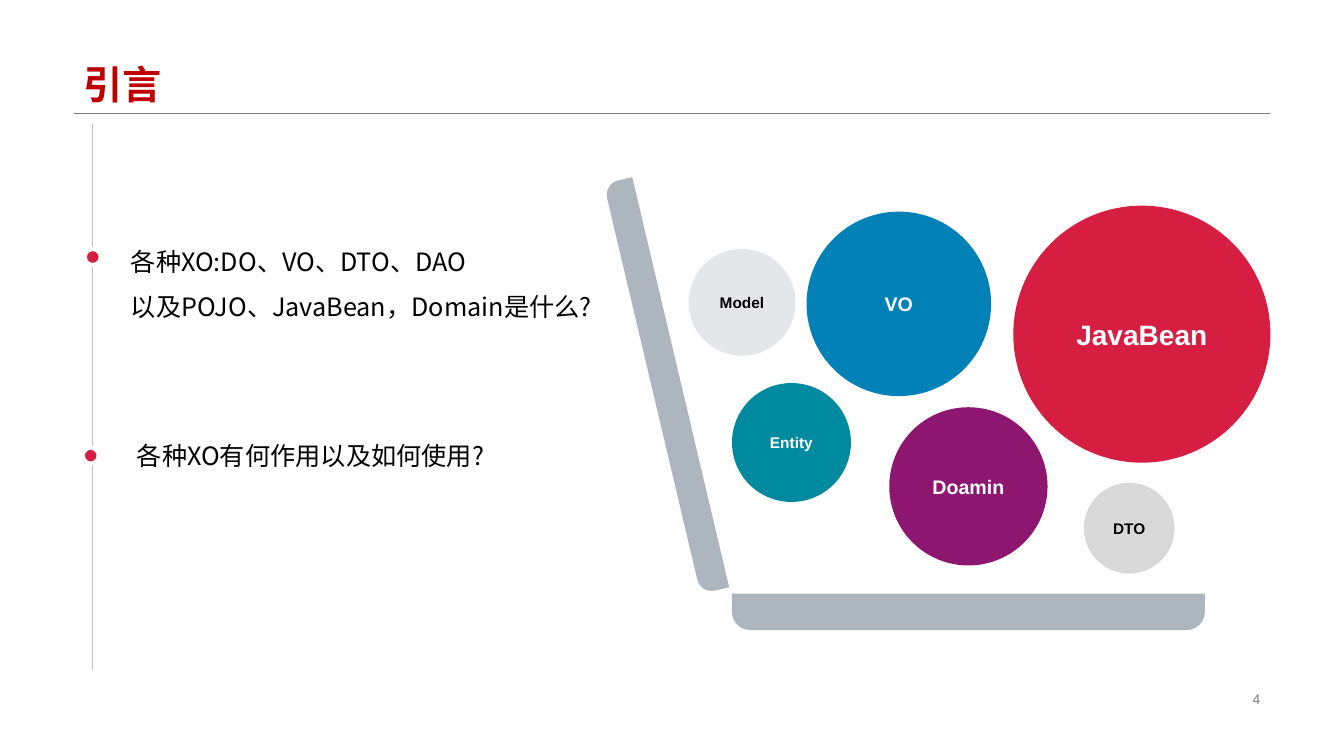
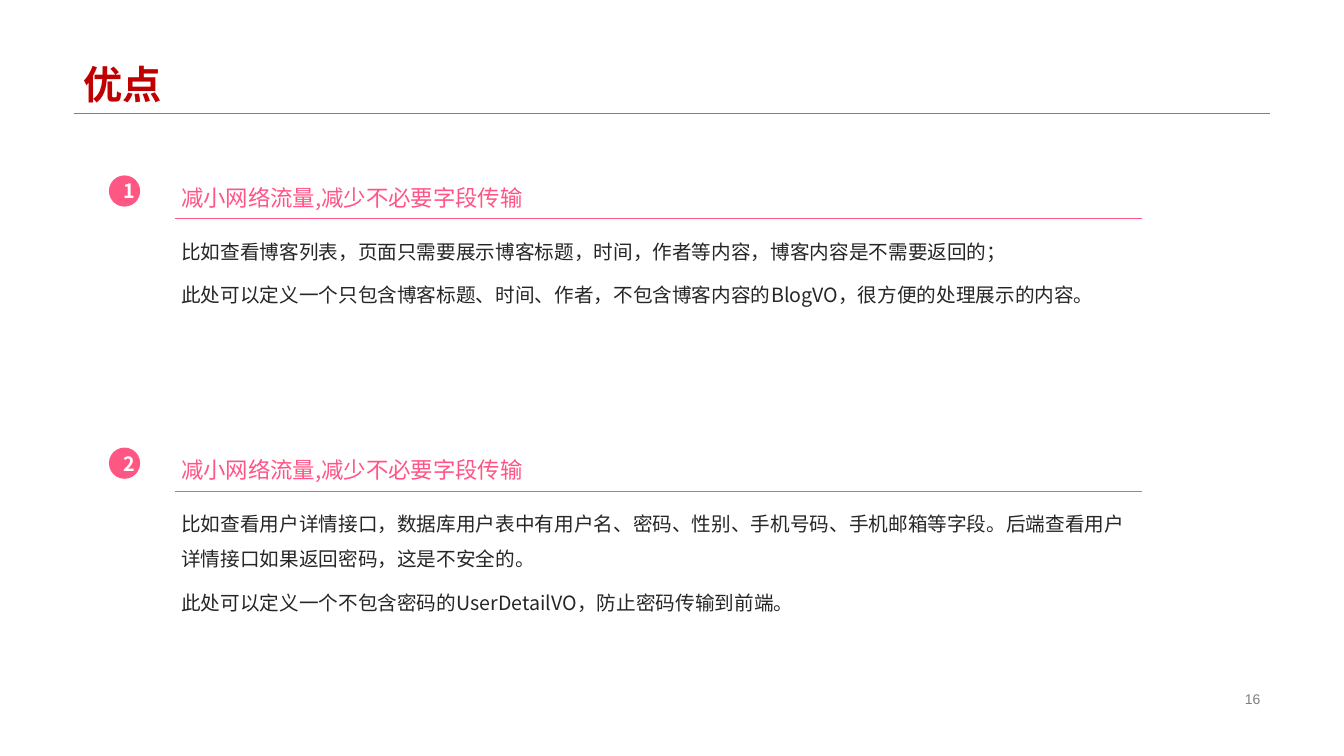
from pptx import Presentation
from pptx.dml.color import RGBColor
from pptx.enum.shapes import MSO_CONNECTOR, MSO_SHAPE
from pptx.enum.text import MSO_ANCHOR, MSO_AUTO_SIZE, PP_ALIGN
from pptx.oxml.ns import qn
from pptx.util import Inches, Pt
from lxml.etree import SubElement

COLORS = {
    "title": "C00000", "grey": "808080", "rail": "BFBFBF", "tray": "ADB5BF",
    "teal": "008A9F", "purple": "8C1670", "blue": "0181B5", "red": "D61E42",
    "silver": "D9D9D9", "mist": "E4E6EA", "pink": "FF5783",
    "heading": "FF5485", "body": "262626", "black": "000000", "white": "FFFFFF",
}
CJK, LATIN = "Noto Sans CJK SC", "Arial"
LEFT, RIGHT, RULE_Y = 0.73, 12.6, 1.12

QUESTIONS = [
    ["各种XO:DO、VO、DTO、DAO", "以及POJO、JavaBean，Domain是什么?"],
    ["各种XO有何作用以及如何使用?"],
]
# label, left, top, diameter, fill, text colour, text size
BUBBLES = [
    ("Entity", 7.26, 3.8, 1.18, "teal", "white", 11),
    ("Doamin", 8.82, 4.04, 1.57, "purple", "white", 14),
    ("VO", 8, 2.1, 1.83, "blue", "white", 14),
    ("JavaBean", 10.05, 2.04, 2.55, "red", "white", 20),
    ("DTO", 10.75, 4.79, 0.9, "silver", "black", 11),
    ("Model", 6.83, 2.47, 1.06, "mist", "black", 11),
]
ADVANTAGES = [
    ("减小网络流量,减少不必要字段传输", 0.85, [
        "比如查看博客列表，页面只需要展示博客标题，时间，作者等内容，博客内容是不需要返回的；",
        "此处可以定义一个只包含博客标题、时间、作者，不包含博客内容的BlogVO，很方便的处理展示的内容。",
    ]),
    ("减小网络流量,减少不必要字段传输", 1.21, [
        "比如查看用户详情接口，数据库用户表中有用户名、密码、性别、手机号码、手机邮箱等字段。"
        "后端查看用户详情接口如果返回密码，这是不安全的。",
        "此处可以定义一个不包含密码的UserDetailVO，防止密码传输到前端。",
    ]),
]


def rgb(name):
    return RGBColor.from_string(COLORS[name])


def write(shape, lines, size, color, font=CJK, bold=False, align=PP_ALIGN.LEFT,
          spacing=1.0, gap=0, anchor=MSO_ANCHOR.TOP, wrap=True):
    """Fill a shape with paragraphs of one style; gap is the points between them."""
    frame = shape.text_frame
    frame.text = "\n".join(lines)
    frame.word_wrap = wrap
    frame.auto_size = MSO_AUTO_SIZE.NONE
    frame.vertical_anchor = anchor
    for index, paragraph in enumerate(frame.paragraphs):
        paragraph.alignment = align
        paragraph.line_spacing = spacing
        paragraph.space_before = Pt(gap if index else 0)
        for run in paragraph.runs:
            run.font.size, run.font.bold, run.font.name = Pt(size), bold, font
            run.font.color.rgb = rgb(color)
            SubElement(run.font._element, qn("a:ea"), typeface=font)


def add_text(slide, left, top, width, height, lines, size, color, **style):
    box = slide.shapes.add_textbox(Inches(left), Inches(top), Inches(width), Inches(height))
    write(box, lines, size, color, **style)


def add_line(slide, x1, y1, x2, y2, color, weight):
    line = slide.shapes.add_connector(
        MSO_CONNECTOR.STRAIGHT, Inches(x1), Inches(y1), Inches(x2), Inches(y2))
    line.line.color.rgb = rgb(color)
    line.line.width = Pt(weight)
    SubElement(line._element.spPr, qn("a:effectLst"))


def add_filled(slide, preset, left, top, width, height, fill):
    shape = slide.shapes.add_shape(
        preset, Inches(left), Inches(top), Inches(width), Inches(height))
    shape.shadow.inherit = False
    shape.fill.solid()
    shape.fill.fore_color.rgb = rgb(fill)
    shape.line.fill.background()
    return shape


def add_circle(slide, left, top, diameter, fill):
    return add_filled(slide, MSO_SHAPE.OVAL, left, top, diameter, diameter, fill)


def add_page(deck, title, number):
    """Add a slide with the shared title, rule and page number."""
    slide = deck.slides.add_slide(deck.slide_layouts.get_by_name("Title Only"))
    heading = slide.shapes.title
    heading.left, heading.top = Inches(LEFT), Inches(0)
    heading.width, heading.height = Inches(RIGHT - LEFT), Inches(RULE_Y)
    write(heading, [title], 28, "title", bold=True, spacing=0.9, anchor=MSO_ANCHOR.BOTTOM)
    add_line(slide, LEFT, RULE_Y, RIGHT, RULE_Y, "grey", 0.25)
    add_text(slide, RIGHT - 3.18, 6.82, 3.18, 0.23, [str(number)], 10, "grey",
             font=LATIN, align=PP_ALIGN.RIGHT, anchor=MSO_ANCHOR.MIDDLE)
    return slide


def add_questions(slide, left, top):
    """Hang the two questions on a vertical rail that starts at left, top."""
    add_line(slide, left, top, left, top + 5.42, "rail", 0.25)
    for dx, dy in ((-0.07, 1.24), (-0.09, 3.21)):
        dot = add_circle(slide, left + dx, top + dy, 0.16, "red")
        dot.line.color.rgb = rgb("white")
        dot.line.width = Pt(3)
    add_text(slide, left + 0.29, top + 1.08, 4.67, 0.87, QUESTIONS[0], 18, "black",
             spacing=1.5, anchor=MSO_ANCHOR.MIDDLE)
    add_text(slide, left + 0.35, top + 3.09, 3.74, 0.4, QUESTIONS[1], 18, "black", wrap=False)


def add_bubble_tray(slide):
    for left, top, width, height, turn in (
            (7.26, 5.89, 4.69, 0.36, 180), (4.52, 3.68, 4.18, 0.29, 256.7)):
        side = add_filled(slide, MSO_SHAPE.ROUND_2_SAME_RECTANGLE,
                          left, top, width, height, "tray")
        side.adjustments[0], side.adjustments[1] = 0.5, 0
        side.rotation = turn
    for label, left, top, diameter, fill, color, size in BUBBLES:
        bubble = add_circle(slide, left, top, diameter, fill)
        write(bubble, [label], size, color, font=LATIN, bold=True,
              align=PP_ALIGN.CENTER, anchor=MSO_ANCHOR.MIDDLE, wrap=False)


def add_advantage(slide, left, top, number, heading, body_height, details):
    badge = add_circle(slide, left, top + 0.1, 0.31, "pink")
    write(badge, [str(number)], 14, "white", bold=True,
          align=PP_ALIGN.CENTER, anchor=MSO_ANCHOR.MIDDLE)
    text_left = left + 0.62
    add_text(slide, text_left, top, 5.38, 0.46, [heading], 16, "heading", spacing=1.5)
    add_text(slide, text_left, top + 0.57, 9.59, body_height, details, 14, "body",
             spacing=1.5, gap=6)
    add_line(slide, left + 0.66, top + 0.53, left + 10.25, top + 0.53, "pink", 0.5)


def main():
    deck = Presentation()
    deck.slide_width, deck.slide_height = Inches(13.33), Inches(7.5)

    introduction = add_page(deck, "引言", 4)
    add_bubble_tray(introduction)
    add_questions(introduction, 0.91, 1.23)

    advantages = add_page(deck, "优点", 16)
    for index, (heading, body_height, details) in enumerate(ADVANTAGES):
        add_advantage(advantages, 1.08, 1.64 + 2.7 * index, index + 1,
                      heading, body_height, details)
    deck.save("out.pptx")


if __name__ == "__main__":
    main()
